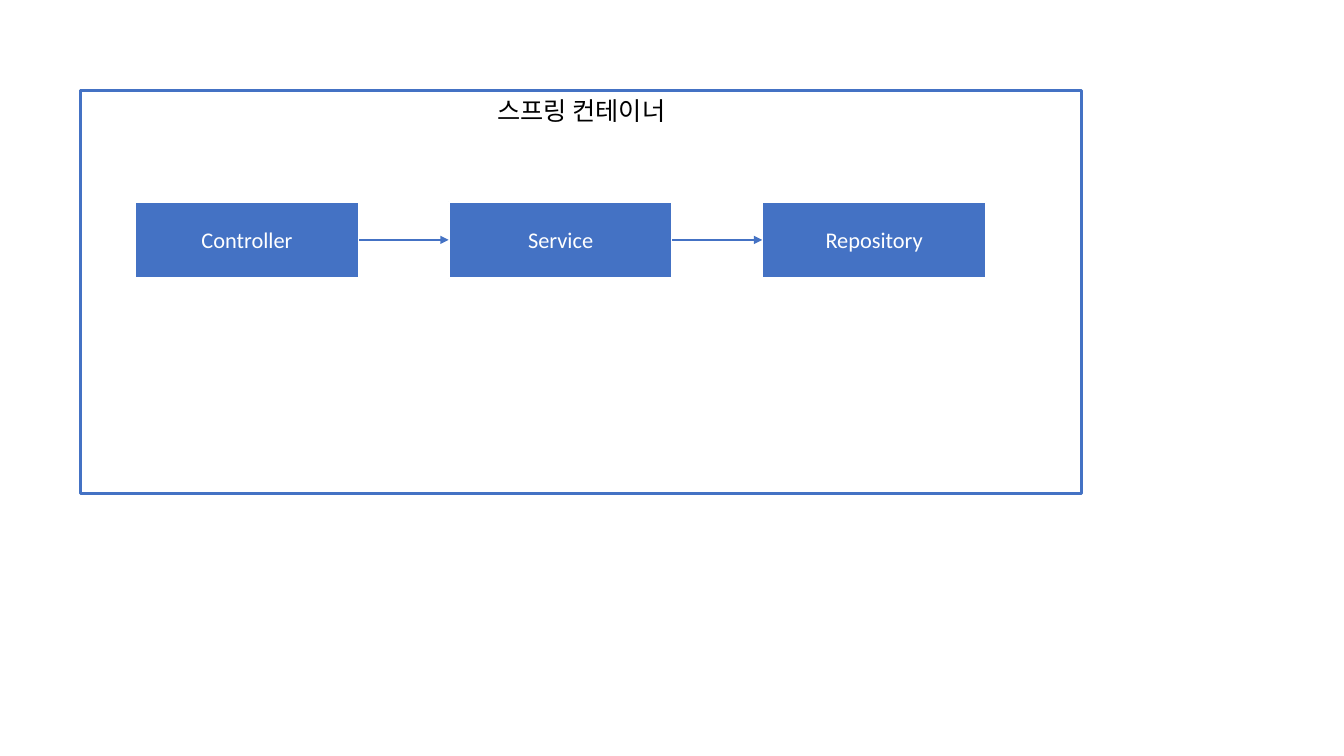
from lxml.etree import SubElement
from pptx import Presentation
from pptx.dml.color import RGBColor
from pptx.enum.shapes import MSO_CONNECTOR, MSO_SHAPE
from pptx.enum.text import MSO_ANCHOR, PP_ALIGN
from pptx.oxml.ns import qn
from pptx.util import Inches, Pt

HEAD = "스프링 컨테이너"
LAYERS = ["Controller", "Service", "Repository"]

BLUE = RGBColor(0x44, 0x72, 0xC4)
WHITE = RGBColor(0xFF, 0xFF, 0xFF)
BLACK = RGBColor(0, 0, 0)

LEFT, TOP, WIDE, HIGH = 1.34, 2, 2.22, 0.76
STEP = 3.11


def add_box(slide, text, area, fill, line, weight, size, ink, anchor):
    box = slide.shapes.add_shape(MSO_SHAPE.RECTANGLE, *map(Inches, area))
    box.shadow.inherit = False
    box.fill.solid()
    box.fill.fore_color.rgb = fill
    box.line.color.rgb = line
    box.line.width = Pt(weight)
    frame = box.text_frame
    frame.word_wrap = True
    frame.vertical_anchor = anchor
    para = frame.paragraphs[0]
    para.alignment = PP_ALIGN.CENTER
    run = para.add_run()
    run.text = text
    run.font.name = "Calibri"
    run.font.size = Pt(size)
    run.font.color.rgb = ink
    return box


def add_arrow(slide, start, end):
    y = start.top + start.height // 2
    arrow = slide.shapes.add_connector(
        MSO_CONNECTOR.STRAIGHT, start.left + start.width, y, end.left, y)
    arrow.begin_connect(start, 3)
    arrow.end_connect(end, 1)
    arrow.line.color.rgb = BLUE
    arrow.line.width = Pt(1.5)
    SubElement(arrow.line._get_or_add_ln(), qn("a:tailEnd"), type="triangle")
    SubElement(arrow._element.spPr, qn("a:effectLst"))


def main():
    deck = Presentation()
    deck.slide_width = Inches(13.33)
    deck.slide_height = Inches(7.5)
    slide = deck.slides.add_slide(deck.slide_layouts[6])
    add_box(slide, HEAD, (0.8, 0.9, 9.93, 4), WHITE, BLUE, 2.25, 18, BLACK,
            MSO_ANCHOR.TOP)
    boxes = [
        add_box(slide, name, (LEFT + i * STEP, TOP, WIDE, HIGH), BLUE, WHITE,
                1.5, 16, WHITE, MSO_ANCHOR.MIDDLE)
        for i, name in enumerate(LAYERS)
    ]
    for start, end in zip(boxes, boxes[1:]):
        add_arrow(slide, start, end)
    deck.save("out.pptx")


if __name__ == "__main__":
    main()
